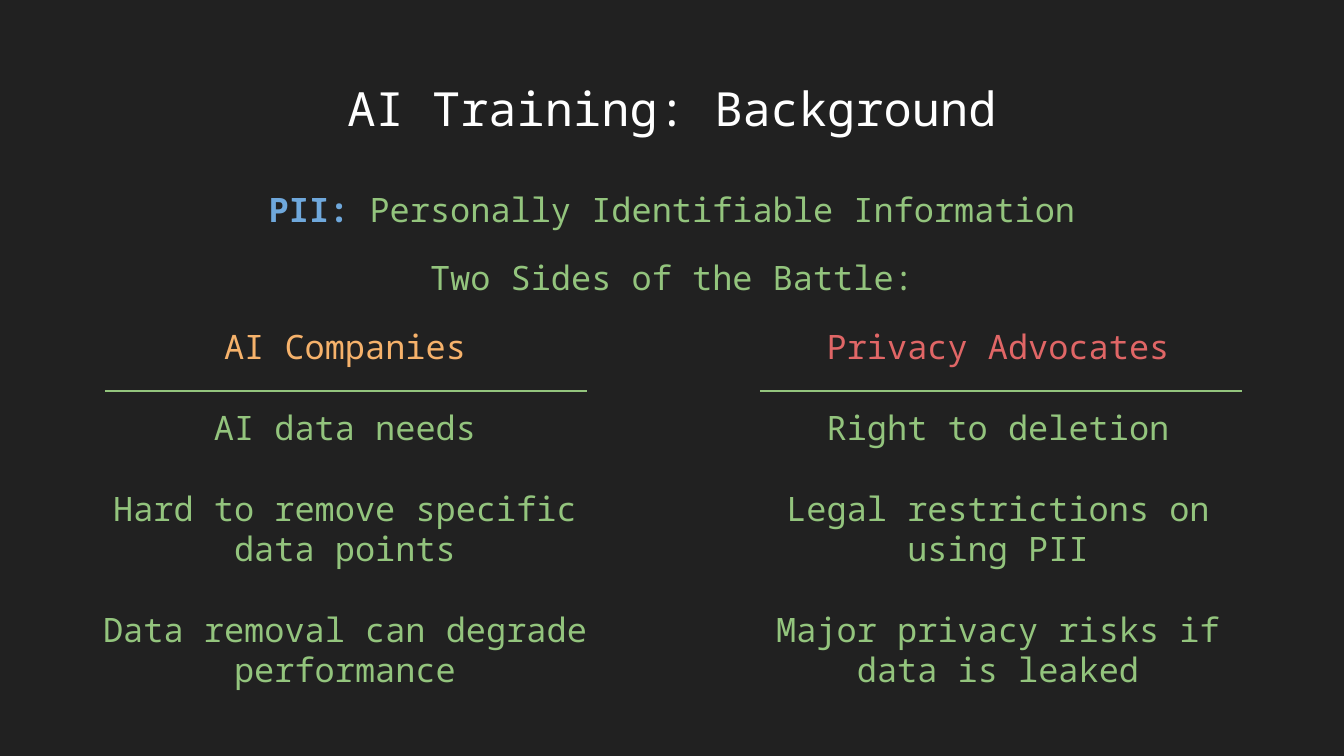
from lxml import etree
from pptx import Presentation
from pptx import util as u
from pptx.dml.color import RGBColor
from pptx.enum import shapes, text
from pptx.oxml.ns import qn

FONT = "Noto Sans Mono"
BACKGROUND, WHITE, GREEN = "212121", "FFFFFF", "93C47D"
BLUE, ORANGE, RED = "6FA8DC", "F6B26B", "E06666"

TITLE = [[("AI Training: Background", WHITE, False)]]
INTRO = [
    [("PII:", BLUE, True), (" Personally Identifiable Information", GREEN, False)],
    [("Two Sides of the Battle:", GREEN, False)],
]
SIDES = [
    {"left": 75, "rule": 105, "heading": "AI Companies", "color": ORANGE,
     "points": ["AI data needs", "Hard to remove specific data points",
                "Data removal can degrade performance"]},
    {"left": 728, "rule": 760, "heading": "Privacy Advocates", "color": RED,
     "points": ["Right to deletion", "Legal restrictions on using PII",
                "Major privacy risks if data is leaked"]},
]
SIDE_TOP, SIDE_WIDTH, SIDE_HEIGHT = 313, 540, 378
RULE_Y, RULE_WIDTH = 391, 482
FRAME = {"word_wrap": True, "auto_size": text.MSO_AUTO_SIZE.NONE,
         "vertical_anchor": text.MSO_ANCHOR.TOP,
         **{f"margin_{side}": u.Inches(0.1) for side in ("left", "right", "top", "bottom")}}


def px(length):
    return u.Emu(round(length * 914400 / 134.4))


def rgb(color):
    return RGBColor.from_string(color)


def apply(target, values):
    for name, value in values.items():
        setattr(target, name, value)


def place(shape, left, top, width, height):
    apply(shape, {"left": px(left), "top": px(top), "width": px(width), "height": px(height)})


def write(shape, paragraphs, size=18, spacing=1.0, before=0):
    frame = shape.text_frame
    apply(frame, FRAME)
    for index, runs in enumerate(paragraphs):
        paragraph = frame.add_paragraph() if index else frame.paragraphs[0]
        apply(paragraph, {"alignment": text.PP_ALIGN.CENTER, "line_spacing": spacing,
                          "space_before": u.Pt(before if index else 0)})
        properties = paragraph._p.get_or_add_pPr()
        properties.set("marL", "0")
        properties.set("indent", "0")
        etree.SubElement(properties, qn("a:buNone"))
        for words, color, bold in runs:
            run = paragraph.add_run()
            run.text = words
            apply(run.font, {"name": FONT, "size": u.Pt(size), "bold": bold})
            run.font.color.rgb = rgb(color)


def add_rule(slide, left):
    rule = slide.shapes.add_connector(shapes.MSO_CONNECTOR.CURVE, px(left), px(RULE_Y),
                                      px(left + RULE_WIDTH), px(RULE_Y))
    rule.line.color.rgb = rgb(GREEN)
    rule.line.width = u.Pt(0.75)
    etree.SubElement(rule._element.spPr, qn("a:effectLst"))


def main():
    presentation = Presentation()
    apply(presentation, {"slide_width": px(1344), "slide_height": px(756)})
    slide = presentation.slides.add_slide(presentation.slide_layouts[1])
    slide.background.fill.solid()
    slide.background.fill.fore_color.rgb = rgb(BACKGROUND)

    title, body = slide.shapes.title, slide.placeholders[1]
    place(title, 46, 66, 1252, 85)
    write(title, TITLE, size=25.2)
    place(body, 46, 169, 1252, 569)
    write(body, INTRO, spacing=1.15, before=12)

    for side in SIDES:
        column = slide.shapes.add_textbox(px(side["left"]), px(SIDE_TOP),
                                          px(SIDE_WIDTH), px(SIDE_HEIGHT))
        points = [[(point, GREEN, False)] for point in side["points"]]
        write(column, [[(side["heading"], side["color"], False)]] + points, before=21.6)
        add_rule(slide, side["rule"])

    presentation.save("out.pptx")


if __name__ == "__main__":
    main()
